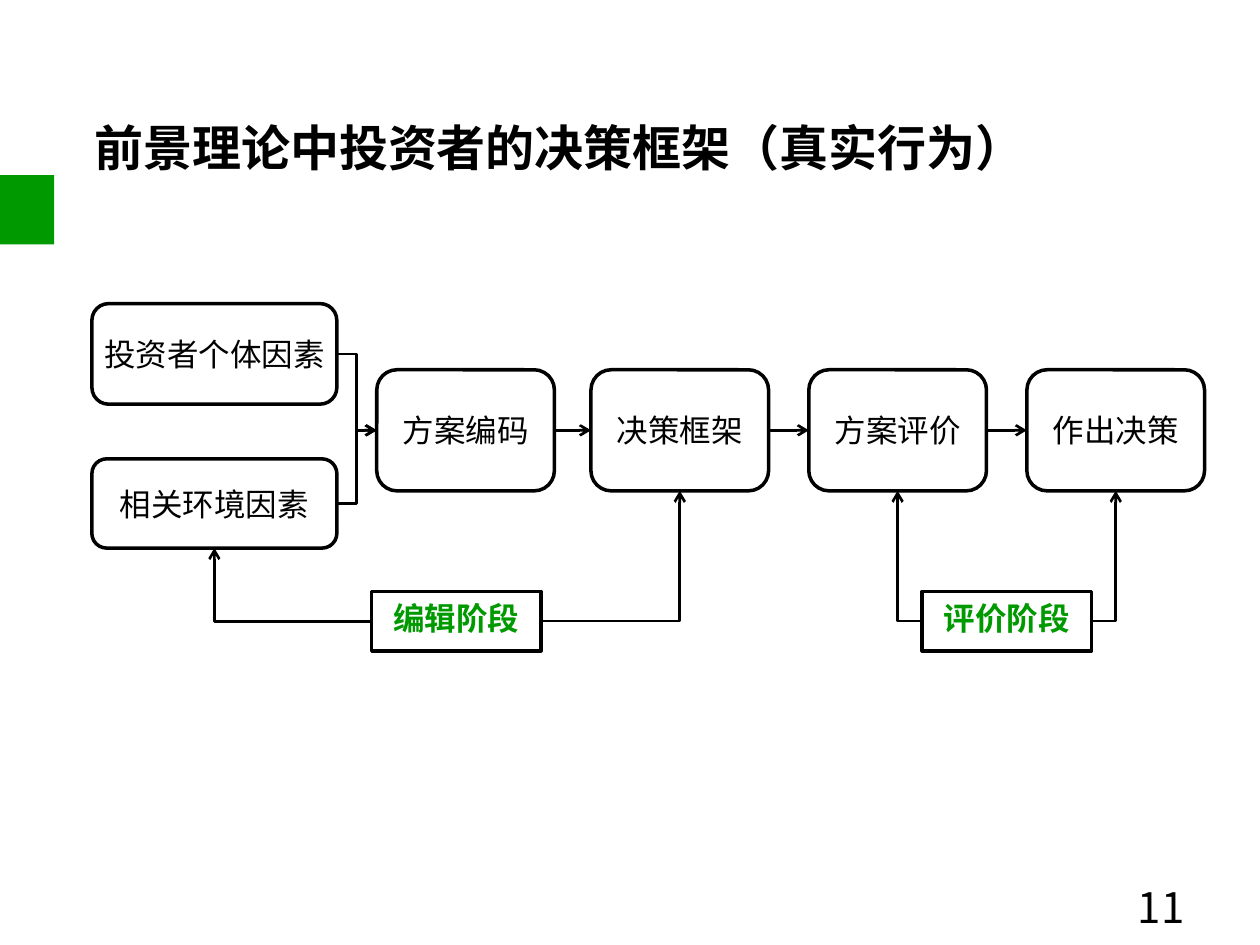
"""Build the slide on the investor decision framework in prospect theory."""
from dataclasses import dataclass

from lxml import etree
from pptx import Presentation
from pptx.dml.color import RGBColor
from pptx.enum.shapes import MSO_CONNECTOR, MSO_SHAPE
from pptx.enum.text import MSO_ANCHOR, MSO_AUTO_SIZE, PP_ALIGN
from pptx.oxml.ns import qn
from pptx.shapes.autoshape import Shape
from pptx.slide import Slide
from pptx.text.text import TextFrame
from pptx.util import Pt

RECTANGLE = MSO_SHAPE.RECTANGLE
ROUNDED = MSO_SHAPE.ROUNDED_RECTANGLE
STRAIGHT = MSO_CONNECTOR.STRAIGHT
ELBOW = MSO_CONNECTOR.ELBOW
TOP_ANCHOR = MSO_ANCHOR.TOP
MIDDLE = MSO_ANCHOR.MIDDLE
NO_FIT = MSO_AUTO_SIZE.NONE
LEFT_ALIGN = PP_ALIGN.LEFT
CENTER = PP_ALIGN.CENTER
RIGHT_ALIGN = PP_ALIGN.RIGHT
TITLE_ONLY = 5
LEFT, BOTTOM, RIGHT = 1, 2, 3


@dataclass(frozen=True)
class Theme:
    font: str = "Noto Sans CJK SC"
    ink: RGBColor = RGBColor(0x00, 0x00, 0x00)
    accent: RGBColor = RGBColor(0x00, 0x99, 0x00)
    title_size: float = 28
    label_size: float = 18
    number_size: float = 24
    outline: float = 2
    arrow: float = 1.5


@dataclass(frozen=True)
class Area:
    left: float
    top: float
    width: float
    height: float

    def lengths(self) -> tuple[Pt, Pt, Pt, Pt]:
        return Pt(self.left), Pt(self.top), Pt(self.width), Pt(self.height)


@dataclass(frozen=True)
class Node:
    label: str
    area: Area
    is_stage: bool = False


@dataclass(frozen=True)
class Link:
    source: str
    source_side: int
    target: str
    target_side: int
    geometry: str


THEME = Theme()
TITLE_AREA = Area(46.8, 63.4, 648, 90)
MARKER_AREA = Area(0, 100, 31, 39.6)
NUMBER_AREA = Area(516.2, 500.4, 167.8, 28.8)

STEPS = ("方案编码", "决策框架", "方案评价", "作出决策")
STEP_LEFTS = (215.3, 337.7, 462.2, 586.8)
FACTORS = ("投资者个体因素", "相关环境因素")
EDITING, EVALUATING = "编辑阶段", "评价阶段"

NODES = (
    Node(FACTORS[0], Area(52.5, 173.5, 140, 57.5)),
    Node(FACTORS[1], Area(52.5, 262.2, 140, 51)),
    *(Node(label, Area(left, 211.3, 101.5, 69.2))
      for label, left in zip(STEPS, STEP_LEFTS)),
    Node(EDITING, Area(212.4, 338, 96.7, 34), True),
    Node(EVALUATING, Area(527, 338, 96.7, 34), True),
)

LINKS = (
    *(Link(factor, RIGHT, STEPS[0], LEFT, "bentConnector3") for factor in FACTORS),
    *(Link(step, RIGHT, following, LEFT, "line")
      for step, following in zip(STEPS, STEPS[1:])),
    Link(EDITING, LEFT, FACTORS[1], BOTTOM, "bentConnector2"),
    Link(EDITING, RIGHT, STEPS[1], BOTTOM, "bentConnector2"),
    Link(EVALUATING, LEFT, STEPS[2], BOTTOM, "bentConnector2"),
    Link(EVALUATING, RIGHT, STEPS[3], BOTTOM, "bentConnector2"),
)


def write_text(frame: TextFrame, text: str, size: float, color: RGBColor,
               alignment: PP_ALIGN, bold: bool = False) -> None:
    frame.text = text
    para = frame.paragraphs[0]
    para.alignment = alignment
    font = para.font
    font.name, font.size, font.bold = THEME.font, Pt(size), bold
    font.color.rgb = color
    east_asian = etree.SubElement(font._element, qn("a:ea"))
    east_asian.set("typeface", THEME.font)


def draw_title(page: Slide, text: str) -> None:
    title = page.shapes.title
    title.left, title.top, title.width, title.height = TITLE_AREA.lengths()
    write_text(title.text_frame, text, THEME.title_size, THEME.ink, LEFT_ALIGN, True)
    title.text_frame.vertical_anchor = TOP_ANCHOR
    title.text_frame.auto_size = NO_FIT


def draw_marker(page: Slide) -> None:
    marker = page.shapes.add_shape(RECTANGLE, *MARKER_AREA.lengths())
    marker.shadow.inherit = False
    marker.fill.solid()
    marker.fill.fore_color.rgb = THEME.accent
    marker.line.fill.background()


def draw_node(page: Slide, node: Node) -> Shape:
    box = page.shapes.add_shape(RECTANGLE if node.is_stage else ROUNDED,
                                *node.area.lengths())
    box.shadow.inherit = False
    box.fill.background()
    box.line.color.rgb = THEME.ink
    box.line.width = Pt(THEME.outline)
    frame = box.text_frame
    frame.word_wrap = False
    frame.vertical_anchor = MIDDLE
    if node.is_stage:
        frame.margin_bottom = Pt(7)
    color = THEME.accent if node.is_stage else THEME.ink
    write_text(frame, node.label, THEME.label_size, color, CENTER, node.is_stage)
    return box


def draw_link(page: Slide, link: Link, boxes: dict[str, Shape]) -> None:
    kind = STRAIGHT if link.geometry == "line" else ELBOW
    connector = page.shapes.add_connector(kind, 0, 0, 0, 0)
    connector.begin_connect(boxes[link.source], link.source_side)
    connector.end_connect(boxes[link.target], link.target_side)
    connector.line.color.rgb = THEME.ink
    connector.line.width = Pt(THEME.arrow)
    properties = connector._element.spPr
    properties.find(qn("a:prstGeom")).set("prst", link.geometry)
    arrowhead = etree.SubElement(properties.find(qn("a:ln")), qn("a:tailEnd"))
    arrowhead.set("type", "arrow")
    etree.SubElement(properties, qn("a:effectLst"))


def draw_number(page: Slide, number: str) -> None:
    box = page.shapes.add_textbox(*NUMBER_AREA.lengths())
    box.text_frame.word_wrap = True
    write_text(box.text_frame, number, THEME.number_size, THEME.ink, RIGHT_ALIGN)


def main() -> None:
    deck = Presentation()
    deck.slide_width, deck.slide_height = Pt(720), Pt(540)
    page = deck.slides.add_slide(deck.slide_layouts[TITLE_ONLY])
    draw_title(page, "前景理论中投资者的决策框架（真实行为）")
    draw_marker(page)
    boxes = {node.label: draw_node(page, node) for node in NODES}
    for link in LINKS:
        draw_link(page, link, boxes)
    draw_number(page, "11")
    deck.save("out.pptx")


if __name__ == "__main__":
    main()
